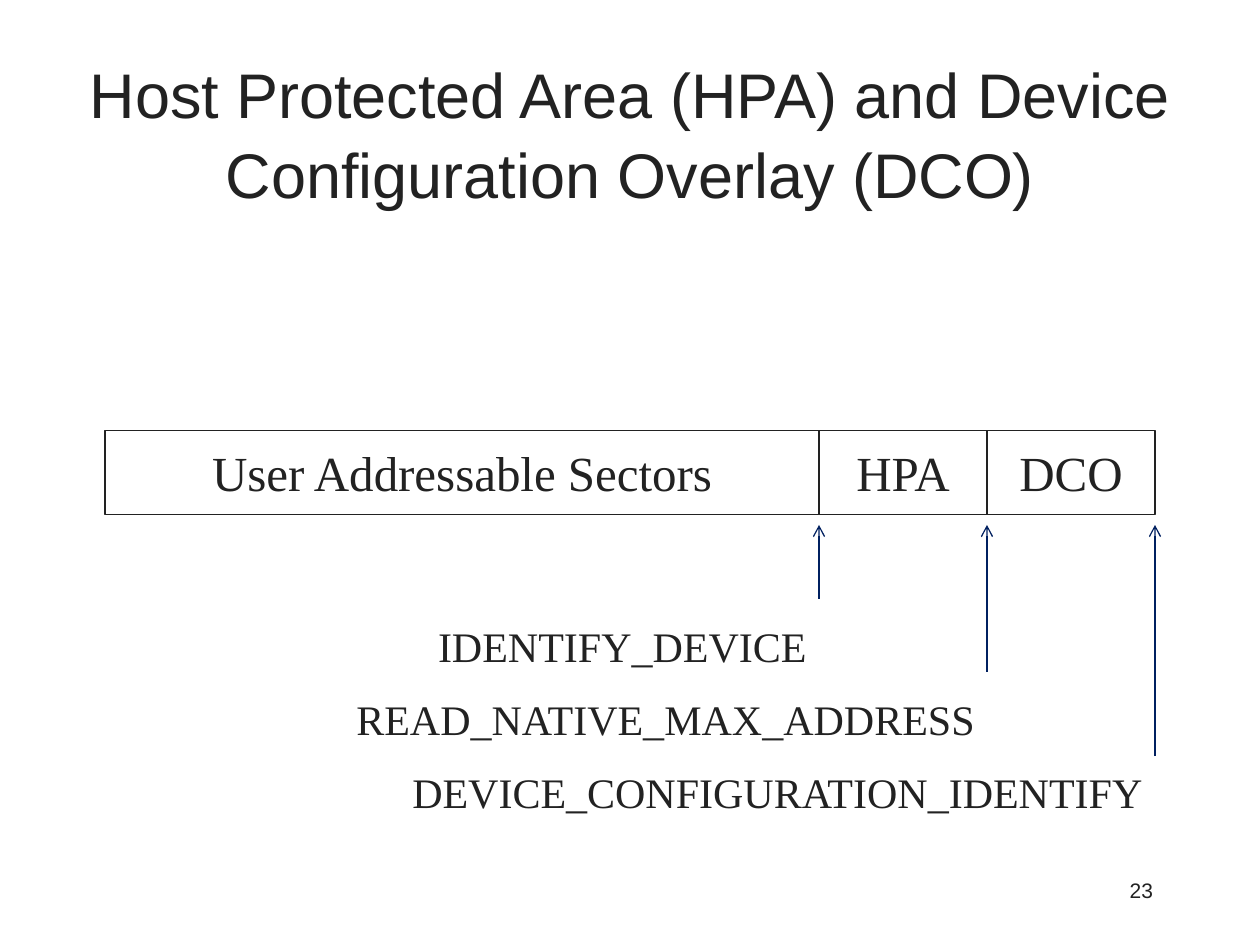
from dataclasses import dataclass

from lxml.etree import SubElement
from pptx import Presentation
from pptx.dml.color import RGBColor
from pptx.enum.shapes import MSO_CONNECTOR, MSO_SHAPE
from pptx.enum.text import MSO_ANCHOR, PP_ALIGN
from pptx.oxml.ns import qn
from pptx.util import Pt


@dataclass(frozen=True)
class Theme:
    ink: RGBColor = RGBColor(0x22, 0x22, 0x22)
    paper: RGBColor = RGBColor(0xFF, 0xFF, 0xFF)
    arrow: RGBColor = RGBColor(0x00, 0x20, 0x60)
    sans: str = "Arial"
    serif: str = "Times New Roman"
    title_size: int = 36
    sector_size: int = 28
    command_size: int = 24
    number_size: int = 12
    line_width: float = 0.75


class SlideBuilder:
    def __init__(self, page, theme):
        self.page = page
        self.theme = theme

    def set_text(self, shape, text, font_name, size, align, top_inset=3.6):
        frame = shape.text_frame
        frame.word_wrap = True
        frame.vertical_anchor = MSO_ANCHOR.TOP
        frame.margin_top = Pt(top_inset)
        paragraph = frame.paragraphs[0]
        paragraph.text = text
        paragraph.alignment = align
        paragraph.font.name = font_name
        paragraph.font.size = Pt(size)
        paragraph.font.color.rgb = self.theme.ink
        return frame

    def text(self, left, top, width, height, *style):
        box = self.page.shapes.add_textbox(Pt(left), Pt(top), Pt(width), Pt(height))
        return self.set_text(box, *style)

    def title(self, left, top, width, height, text):
        frame = self.text(left, top, width, height, text, self.theme.sans,
                          self.theme.title_size, PP_ALIGN.CENTER)
        frame.vertical_anchor = MSO_ANCHOR.MIDDLE
        frame.paragraphs[0].line_spacing = 1.05

    def sector(self, left, top, width, height, text):
        box = self.page.shapes.add_shape(
            MSO_SHAPE.RECTANGLE, Pt(left), Pt(top), Pt(width), Pt(height))
        box.shadow.inherit = False
        box.fill.solid()
        box.fill.fore_color.rgb = self.theme.paper
        box.line.color.rgb = self.theme.ink
        box.line.width = Pt(self.theme.line_width)
        self.set_text(box, text, self.theme.serif, self.theme.sector_size,
                      PP_ALIGN.CENTER, 6.6)

    def up_arrow(self, x, bottom, top):
        arrow = self.page.shapes.add_connector(
            MSO_CONNECTOR.STRAIGHT, Pt(x), Pt(bottom), Pt(x), Pt(top))
        arrow.line.color.rgb = self.theme.arrow
        arrow.line.width = Pt(self.theme.line_width)
        properties = arrow._element.spPr
        SubElement(properties.find(qn("a:ln")), qn("a:tailEnd"), type="arrow")
        SubElement(properties, qn("a:effectLst"))

    def command(self, right, top, width, text):
        self.text(right - width, top, width, 36, text, self.theme.serif,
                  self.theme.command_size, PP_ALIGN.RIGHT, 6.6)


def main():
    deck = Presentation()
    deck.slide_width, deck.slide_height = Pt(720), Pt(540)
    page = deck.slides.add_slide(deck.slide_layouts[6])
    theme = Theme()
    builder = SlideBuilder(page, theme)

    # Title and page number
    builder.title(42, 30, 636, 90,
                  "Host Protected Area (HPA) and Device Configuration Overlay (DCO)")
    builder.text(624, 498, 42, 30, "23", theme.sans, theme.number_size, PP_ALIGN.RIGHT)

    # Disk areas, each with the command that reports where it ends
    areas = [
        ("User Addressable Sectors", 408, "IDENTIFY_DEVICE", 378, 342),
        ("HPA", 96, "READ_NATIVE_MAX_ADDRESS", 378, 384),
        ("DCO", 96, "DEVICE_CONFIGURATION_IDENTIFY", 462, 432),
    ]
    edge = 60
    for index, (area, width, command, command_width, arrow_bottom) in enumerate(areas):
        builder.sector(edge, 246, width, 48, area)
        edge += width
        builder.up_arrow(edge, arrow_bottom, 300)
        builder.command(edge, 348 + 41.75 * index, command_width, command)

    deck.save("out.pptx")


if __name__ == "__main__":
    main()
